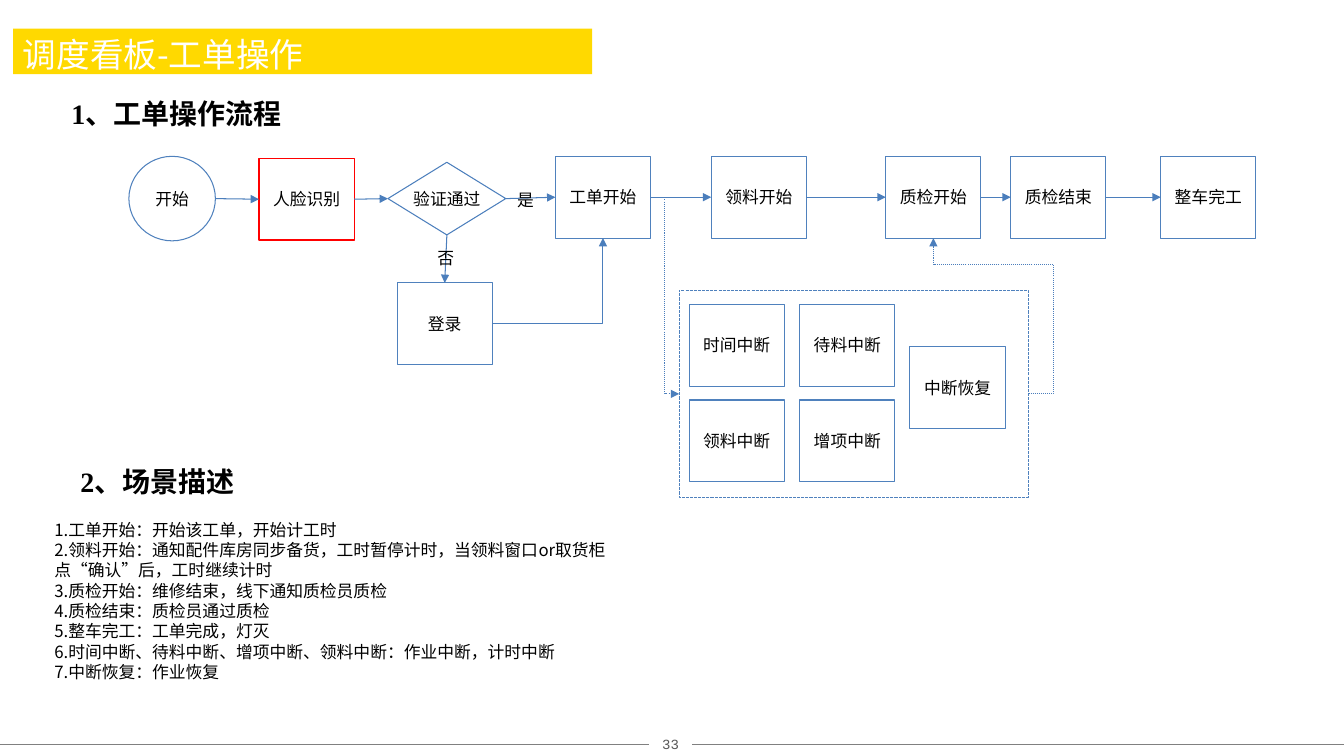
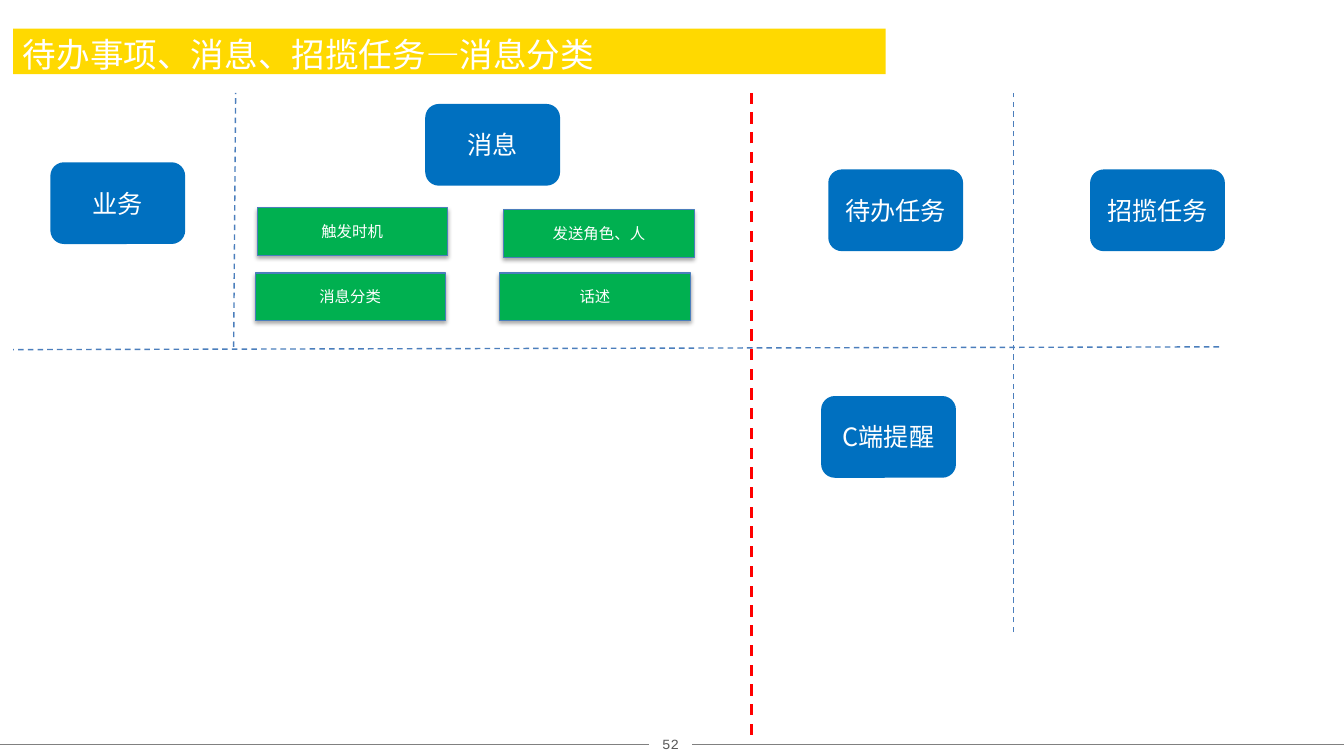
from dataclasses import dataclass
from typing import NamedTuple, Optional

from lxml import etree
from pptx import Presentation
from pptx.dml.color import RGBColor
from pptx.enum.dml import MSO_LINE
from pptx.enum.shapes import MSO_CONNECTOR, MSO_SHAPE
from pptx.enum.text import MSO_ANCHOR, PP_ALIGN
from pptx.oxml.ns import qn
from pptx.shapes.autoshape import Shape
from pptx.shapes.connector import Connector
from pptx.slide import Slide
from pptx.util import Cm, Pt

RECT, ROUND_RECT = MSO_SHAPE.RECTANGLE, MSO_SHAPE.ROUNDED_RECTANGLE
OVAL, DECISION = MSO_SHAPE.OVAL, MSO_SHAPE.FLOWCHART_DECISION
STRAIGHT, ELBOW = MSO_CONNECTOR.STRAIGHT, MSO_CONNECTOR.ELBOW
DASH, SYS_DASH, SYS_DOT = MSO_LINE.DASH, MSO_LINE.SQUARE_DOT, MSO_LINE.ROUND_DOT
LEFT, CENTER, JUSTIFY = PP_ALIGN.LEFT, PP_ALIGN.CENTER, PP_ALIGN.JUSTIFY
MIDDLE = MSO_ANCHOR.MIDDLE
SITE_TOP, SITE_LEFT, SITE_BOTTOM, SITE_RIGHT = range(4)
SITES = ((0.5, 0), (0, 0.5), (0.5, 1), (1, 0.5))


@dataclass(frozen=True)
class Theme:
    band: RGBColor = RGBColor(0xFF, 0xD9, 0x00)
    white: RGBColor = RGBColor(0xFF, 0xFF, 0xFF)
    black: RGBColor = RGBColor(0x00, 0x00, 0x00)
    outline: RGBColor = RGBColor(0x4F, 0x81, 0xBD)
    link: RGBColor = RGBColor(0x4B, 0x7E, 0xBC)
    red: RGBColor = RGBColor(0xFF, 0x00, 0x00)
    card: RGBColor = RGBColor(0x00, 0x70, 0xC0)
    button: RGBColor = RGBColor(0x00, 0xB0, 0x50)
    rule: RGBColor = RGBColor(0x80, 0x80, 0x80)
    page: RGBColor = RGBColor(0x59, 0x59, 0x59)
    sans: str = "Noto Sans CJK SC"
    serif: str = "Times New Roman"
    mono: str = "Courier New"
    title_pt: float = 24
    heading_pt: float = 20
    card_pt: float = 18
    body_pt: float = 12
    button_pt: float = 11
    page_pt: float = 10
    leading_pt: float = 14.5
    hair_pt: float = 0.25
    line_pt: float = 0.75


T = Theme()


class Node(NamedTuple):
    text: str
    x: float
    y: float
    w: float = 2.4
    h: float = 2.06
    kind: int = RECT
    line: RGBColor = T.outline


class Link(NamedTuple):
    start: str
    start_site: int
    end: str
    end_site: int
    geometry: Optional[str] = None
    adjust: tuple[int, ...] = ()
    dash: Optional[int] = None


class Divider(NamedTuple):
    x1: float
    y1: float
    x2: float
    y2: float
    color: RGBColor = T.link
    width: float = 1


class Tile(NamedTuple):
    text: str
    x: float
    y: float


ROW_Y = 3.94
NODES = [
    Node("开始", 3.25, ROW_Y, 2.18, 2.13, OVAL),
    Node("人脸识别", 6.53, 3.99, line=T.red),
    Node("验证通过", 9.78, 4.09, 2.97, 1.83, DECISION, T.link),
    *(Node(text, x, ROW_Y) for text, x in (
        ("工单开始", 14), ("领料开始", 17.93), ("质检开始", 22.33),
        ("质检结束", 25.48), ("整车完工", 29.26))),
    Node("登录", 10.01, 7.13),
    *(Node(text, 17.37 + 2.79 * (i % 2), 7.67 + 2.41 * (i // 2))
      for i, text in enumerate(("时间中断", "待料中断", "领料中断", "增项中断"))),
    Node("中断恢复", 22.94, 8.74),
]
FRAME = "中断"
MAIN_FLOW = [n.text for n in NODES[:8]]
LINKS = [
    *(Link(a, SITE_RIGHT, b, SITE_LEFT) for a, b in zip(MAIN_FLOW, MAIN_FLOW[1:])),
    Link("验证通过", SITE_BOTTOM, "登录", SITE_TOP),
    Link("登录", SITE_RIGHT, "工单开始", SITE_BOTTOM, "bentConnector2"),
    Link("工单开始", SITE_RIGHT, FRAME, SITE_LEFT, "bentConnector3", (50000,), SYS_DOT),
    Link(FRAME, SITE_RIGHT, "质检开始", SITE_BOTTOM, "bentConnector4",
         (-26300, 83000), SYS_DOT),
]
SCENES = [
    "1.工单开始：开始该工单，开始计工时",
    "2.领料开始：通知配件库房同步备货，工时暂停计时，当领料窗口or取货柜点“确认”后，工时继续计时",
    "3.质检开始：维修结束，线下通知质检员质检",
    "4.质检结束：质检员通过质检",
    "5.整车完工：工单完成，灯灭",
    "6.时间中断、待料中断、增项中断、领料中断：作业中断，计时中断",
    "7.中断恢复：作业恢复",
]
CARDS = [
    Tile("业务", 1.27, 4.09), Tile("消息", 10.72, 2.62), Tile("待办任务", 20.88, 4.27),
    Tile("招揽任务", 27.48, 4.27), Tile("C端提醒", 20.7, 9.98),
]
BUTTONS = [
    Tile("触发时机", 6.48, 5.23), Tile("发送角色、人", 12.7, 5.28),
    Tile("消息分类", 6.43, 6.88), Tile("话述", 12.6, 6.88),
]
DIVIDERS = [
    Divider(5.89, 8.74, 5.94, 2.34),
    Divider(18.95, 18.52, 18.95, 2.34, T.red, 2),
    Divider(30.73, 8.74, 0.33, 8.81),
    Divider(25.55, 15.93, 25.55, 2.34),
]


def write(sp: Shape, *lines: str, size: float = T.body_pt, color: RGBColor = T.black,
          font: str = T.sans, bold: bool = False, align: int = CENTER, wrap: bool = False,
          margins: tuple[float, ...] = (0.25, 0.13, 0.25, 0.13),
          leading: Optional[float] = None) -> None:
    tf = sp.text_frame
    tf.word_wrap = wrap
    tf.vertical_anchor = MIDDLE
    tf.margin_left, tf.margin_top, tf.margin_right, tf.margin_bottom = map(Cm, margins)
    for i, line in enumerate(lines):
        p = tf.add_paragraph() if i else tf.paragraphs[0]
        p.alignment = align
        if leading:
            p.line_spacing = Pt(leading)
        r = p.add_run()
        r.text = line
        r.font.size, r.font.bold, r.font.name = Pt(size), bold, font
        r.font.color.rgb = color
        etree.SubElement(r.font._element, qn("a:ea"), typeface=T.sans)


def add_text(s: Slide, x: float, y: float, w: float, h: float, *lines: str, **fmt) -> None:
    write(s.shapes.add_textbox(Cm(x), Cm(y), Cm(w), Cm(h)), *lines, **fmt)


def add_box(s: Slide, kind: int, x: float, y: float, w: float, h: float,
            fill: Optional[RGBColor] = None, line: Optional[RGBColor] = None,
            dash: Optional[int] = None) -> Shape:
    sp = s.shapes.add_shape(kind, Cm(x), Cm(y), Cm(w), Cm(h))
    if fill is None:
        sp.fill.background()
    else:
        sp.fill.solid()
        sp.fill.fore_color.rgb = fill
    if line is None:
        sp.line.fill.background()
    else:
        sp.line.color.rgb = line
        sp.line.width = Pt(T.line_pt)
        sp.line.dash_style = dash
    sp.shadow.inherit = False
    return sp


def add_shadow(sp: Shape) -> None:
    effects = sp._element.spPr.find(qn("a:effectLst"))
    shadow = etree.SubElement(effects, qn("a:outerShdw"), blurRad=str(Pt(3.1)),
                              dist=str(Pt(1.8)), dir="5400000", rotWithShape="0")
    color = etree.SubElement(shadow, qn("a:srgbClr"), val=str(T.black))
    etree.SubElement(color, qn("a:alpha"), val="35000")


def style_line(c: Connector, color: RGBColor, width: float,
               dash: Optional[int] = None, arrow: bool = False) -> None:
    c.line.color.rgb = color
    c.line.width = Pt(width)
    c.line.dash_style = dash
    if arrow:
        etree.SubElement(c.line._get_or_add_ln(), qn("a:tailEnd"), type="triangle")
    etree.SubElement(c._element.spPr, qn("a:effectLst"))


def add_line(s: Slide, d: Divider, dash: Optional[int] = None) -> None:
    c = s.shapes.add_connector(STRAIGHT, Cm(d.x1), Cm(d.y1), Cm(d.x2), Cm(d.y2))
    style_line(c, d.color, d.width, dash)


def site_point(sp: Shape, site: int) -> tuple[int, int]:
    fx, fy = SITES[site]
    return int(sp.left + fx * sp.width), int(sp.top + fy * sp.height)


def add_link(s: Slide, link: Link, shapes: dict[str, Shape]) -> None:
    start, end = shapes[link.start], shapes[link.end]
    c = s.shapes.add_connector(ELBOW if link.geometry else STRAIGHT,
                               *site_point(start, link.start_site),
                               *site_point(end, link.end_site))
    if start.auto_shape_type != OVAL:
        c.begin_connect(start, link.start_site)
    c.end_connect(end, link.end_site)
    if link.geometry:
        geom = c._element.spPr.find(qn("a:prstGeom"))
        geom.set("prst", link.geometry)
        guides = geom.find(qn("a:avLst"))
        for i, value in enumerate(link.adjust, 1):
            etree.SubElement(guides, qn("a:gd"), name=f"adj{i}", fmla=f"val {value}")
    style_line(c, T.link, T.line_pt, link.dash, arrow=True)


def add_slide(prs, title: str, band_width: float, page: int) -> Slide:
    s = prs.slides.add_slide(prs.slide_layouts[6])
    for x1, x2 in ((0, 16.36), (17.45, 33.88)):
        add_line(s, Divider(x1, 18.75, x2, 18.75, T.rule, T.hair_pt))
    add_text(s, 16.36, 18.39, 1.09, 0.69, str(page),
             size=T.page_pt, color=T.page, font=T.mono)
    write(add_box(s, RECT, 0.33, 0.72, band_width, 1.15, T.band), title,
          size=T.title_pt, color=T.white, align=LEFT, margins=(0.25, 0.13, 0.25, 0))
    return s


def build_work_order(prs) -> None:
    s = add_slide(prs, "调度看板-工单操作", 14.6, 33)
    for text, x, y, w in (("1、工单操作流程", 1.55, 2.29, 6.65),
                          ("2、场景描述", 1.78, 11.56, 4.62)):
        add_text(s, x, y, w, 1.12, text, size=T.heading_pt, font=T.serif,
                 bold=True, align=JUSTIFY, wrap=True)
    shapes = {FRAME: add_box(s, RECT, 17.12, 7.32, 8.81, 5.21,
                             line=T.outline, dash=SYS_DASH)}
    for n in NODES:
        sp = shapes[n.text] = add_box(s, n.kind, n.x, n.y, n.w, n.h, line=n.line)
        write(sp, n.text, margins=(0, 0, 0, 0))
    for link in LINKS:
        add_link(s, link, shapes)
    for text, x, y in (("否", 10.77, 6.12), ("是", 12.78, 4.65)):
        add_text(s, x, y, 0.94, 0.76, text)
    add_text(s, 1.12, 12.95, 15.19, 4.37, *SCENES, align=LEFT, wrap=True,
             leading=T.leading_pt)


def build_messages(prs) -> None:
    s = add_slide(prs, "待办事项、消息、招揽任务—消息分类", 22, 52)
    for d in DIVIDERS:
        add_line(s, d, DASH)
    for t in CARDS:
        write(add_box(s, ROUND_RECT, t.x, t.y, 3.4, 2.06, T.card), t.text,
              size=T.card_pt, color=T.white)
    for t in BUTTONS:
        sp = add_box(s, RECT, t.x, t.y, 4.8, 1.2, T.button, T.link)
        add_shadow(sp)
        write(sp, t.text, size=T.button_pt, color=T.white)


def main() -> None:
    prs = Presentation()
    prs.slide_width, prs.slide_height = Cm(33.88), Cm(19.05)
    build_work_order(prs)
    build_messages(prs)
    prs.save("out.pptx")


if __name__ == "__main__":
    main()
